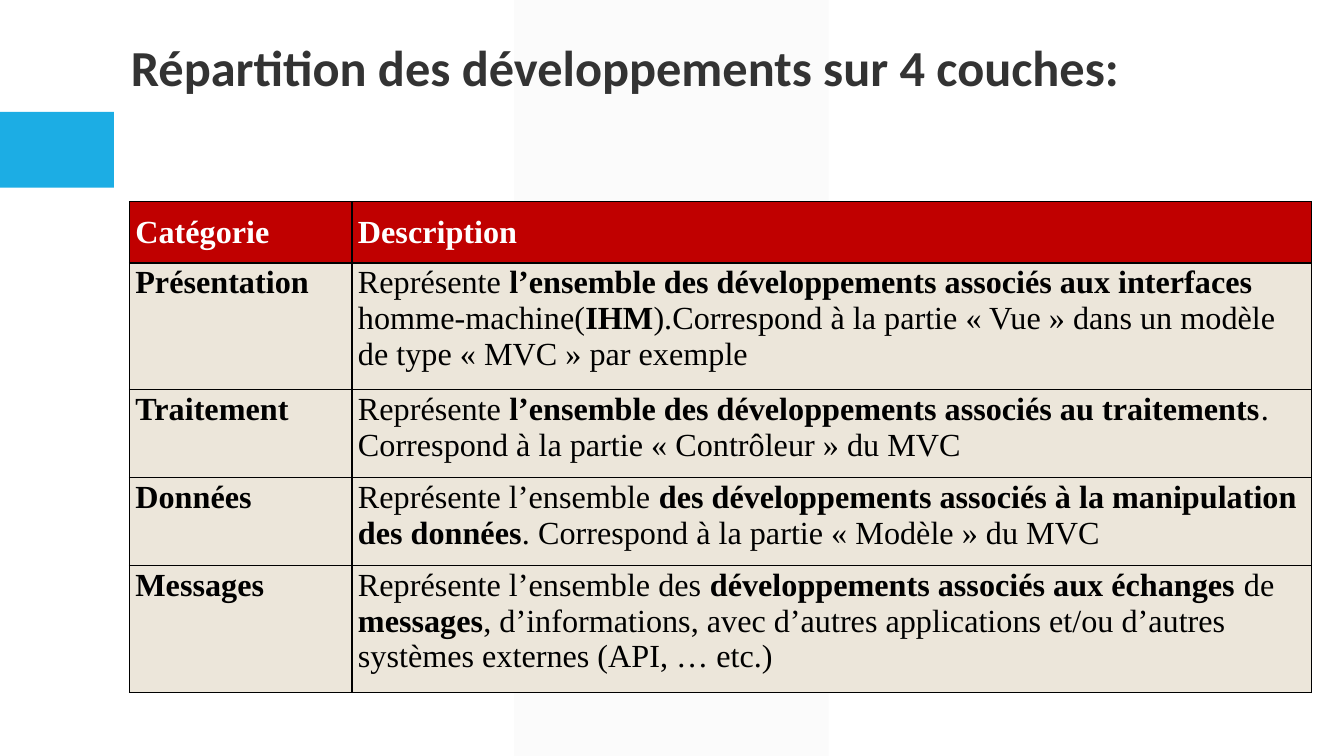
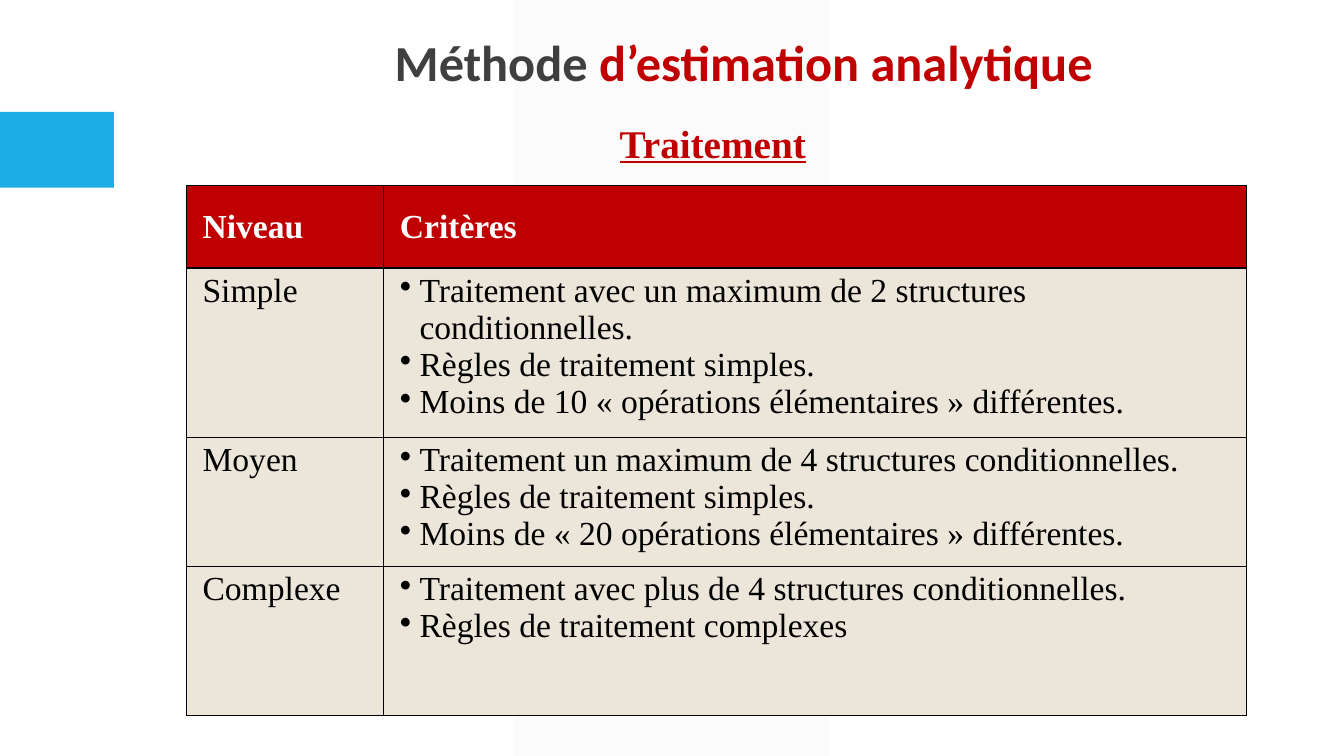
from lxml import etree
from pptx import Presentation
from pptx.dml.color import RGBColor
from pptx.enum import shapes, text
from pptx.oxml import ns
from pptx.util import Pt

BLUE = RGBColor(0x1C, 0xAD, 0xE4)
PALE = RGBColor(0xF2, 0xF2, 0xF2)
RED = RGBColor(0xC0, 0x00, 0x00)
SAND = RGBColor(0xEC, 0xE6, 0xDA)
DARK = RGBColor(0x33, 0x33, 0x33)
GREY = RGBColor(0x3F, 0x3F, 0x3F)
BLACK = RGBColor(0x00, 0x00, 0x00)
WHITE = RGBColor(0xFF, 0xFF, 0xFF)
SERIF = "Times New Roman"
HANG = 14

# Text between asterisks takes the accent format.
LAYERS = [
    ("Catégorie", "Description"),
    ("*Présentation*",
     "Représente *l’ensemble des développements associés aux interfaces *"
     "homme-machine(*IHM*).Correspond à la partie « Vue » dans un modèle "
     "de type « MVC » par exemple"),
    ("*Traitement*",
     "Représente *l’ensemble des développements associés au traitements*. "
     "Correspond à la partie « Contrôleur » du MVC"),
    ("*Données*",
     "Représente l’ensemble* des développements associés à la manipulation "
     "des données*. Correspond à la partie « Modèle » du MVC"),
    ("*Messages*",
     "Représente l’ensemble des *développements associés aux échanges* de "
     "*messages*, d’informations, avec d’autres applications et/ou d’autres "
     "systèmes externes (API, … etc.)"),
]
LEVELS = [
    ("Niveau", "Critères"),
    ("Simple", [
        "Traitement avec un maximum de 2 structures conditionnelles.",
        "Règles de traitement simples.",
        "Moins de 10 « opérations élémentaires » différentes."]),
    ("Moyen", [
        "Traitement un maximum de 4 structures conditionnelles.",
        "Règles de traitement simples.",
        "Moins de « 20 opérations élémentaires » différentes."]),
    ("Complexe", [
        "Traitement avec plus de 4 structures conditionnelles.",
        "Règles de traitement complexes"]),
]


def add_xml(parent, tag, **attrs):
    return etree.SubElement(parent, ns.qn(tag), attrs)


def write(frame, content, accent=None, align=text.PP_ALIGN.LEFT, **style):
    """Fill a frame with a string, or with a list shown as bullets."""
    frame.word_wrap = True
    bullets = isinstance(content, list)
    for i, line in enumerate(content if bullets else [content]):
        para = frame.add_paragraph() if i else frame.paragraphs[0]
        para.alignment = align
        if bullets:
            props = para._p.get_or_add_pPr()
            props.set("marL", str(Pt(HANG)))
            props.set("indent", str(-Pt(HANG)))
            add_xml(props, "a:buChar", char="•")
        for n, part in enumerate(line.split("*")):
            if part:
                look = {**style, **(accent or {})} if n % 2 else style
                run = para.add_run()
                run.text = part
                font = run.font
                font.name, font.size = look["face"], Pt(look["size"])
                font.bold = look.get("bold", False)
                font.underline = look.get("line", False)
                font.color.rgb = look["color"]


def add_text(slide, box, content, **style):
    frame = slide.shapes.add_textbox(*map(Pt, box)).text_frame
    write(frame, content, **style)


def add_title(slide, box, content, **style):
    add_text(slide, box, content, face="Calibri", size=36, bold=True, **style)


def add_block(slide, kind, box, color):
    shape = slide.shapes.add_shape(kind, *map(Pt, box))
    shape.shadow.inherit = False
    shape.fill.solid()
    shape.fill.fore_color.rgb = color
    shape.line.fill.background()
    return shape


def add_slide(deck):
    slide = deck.slides.add_slide(deck.slide_layouts[6])
    band = add_block(slide, shapes.MSO_SHAPE.PARALLELOGRAM,
                     (367.2, 0, 224.64, 540), PALE)
    band.adjustments[0] = 0
    tint = band.fill._xPr.find(".//" + ns.qn("a:srgbClr"))
    add_xml(tint, "a:alpha", val="28000")
    add_block(slide, shapes.MSO_SHAPE.RECTANGLE, (0, 80, 81.4, 54), BLUE)
    return slide


def add_borders(cell):
    props = cell._tc.get_or_add_tcPr()
    for side in "LRTB":
        line = add_xml(props, "a:ln" + side, w=str(Pt(1)))
        fill = add_xml(line, "a:solidFill")
        add_xml(fill, "a:srgbClr", val=str(BLACK))


def add_grid(slide, left, top, cols, rows, data, size, inset, head, body):
    """Add a table; head and body are the top and bottom cell margins."""
    frame = slide.shapes.add_table(len(rows), len(cols), Pt(left), Pt(top),
                                   Pt(sum(cols)), Pt(sum(rows)))
    table = frame.table
    for col, width in zip(table.columns, cols):
        col.width = Pt(width)
    for r, (height, entry) in enumerate(zip(rows, data)):
        table.rows[r].height = Pt(height)
        first = r == 0
        for c, content in enumerate(entry):
            cell = table.cell(r, c)
            add_borders(cell)
            cell.fill.solid()
            cell.fill.fore_color.rgb = RED if first else SAND
            cell.margin_left = cell.margin_right = Pt(inset)
            cell.margin_top = cell.margin_bottom = Pt(head if first else body)
            cell.vertical_anchor = (text.MSO_ANCHOR.MIDDLE if first
                                    else text.MSO_ANCHOR.TOP)
            write(cell.text_frame, content, accent={"bold": True}, face=SERIF,
                  size=size, bold=first, color=WHITE if first else BLACK)


def main():
    deck = Presentation()
    deck.slide_width, deck.slide_height = Pt(960), Pt(540)

    slide = add_slide(deck)
    add_title(slide, (86.4, 22.3, 792, 114.5),
              "Répartition des développements sur 4 couches:", color=DARK)
    add_grid(slide, 92.4, 144, (159, 685.5), (43.8, 90.7, 62.8, 62.8, 90.7),
             LAYERS, size=23, inset=4.3, head=1.4, body=1.4)

    slide = add_slide(deck)
    add_title(slide, (144, 18.7, 774.7, 66.2),
              "Méthode *d’estimation analytique*", color=GREY,
              accent={"color": RED}, align=text.PP_ALIGN.CENTER)
    add_grid(slide, 133.2, 132.5, (141, 616.3), (59, 111.6, 90, 106.6),
             LEVELS, size=24, inset=11.5, head=4.3, body=2.9)
    add_text(slide, (435.6, 81.4, 549.4, 41), "Traitement", face=SERIF,
             size=28, bold=True, line=True, color=RED)

    deck.save("out.pptx")


if __name__ == "__main__":
    main()
